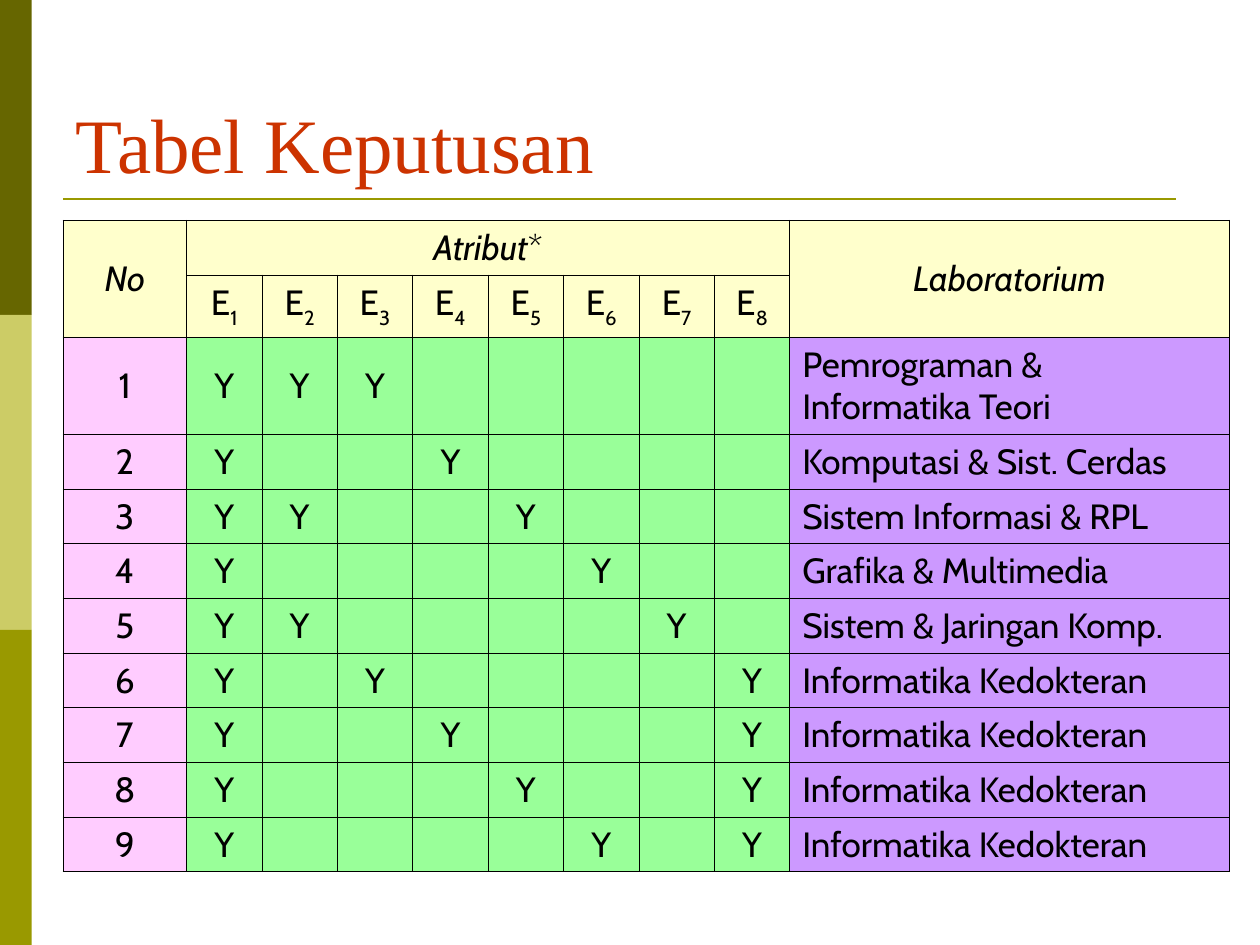
from typing import NamedTuple

from lxml.etree import SubElement
from pptx import Presentation
from pptx.dml.color import RGBColor
from pptx.enum.shapes import MSO_CONNECTOR, MSO_SHAPE
from pptx.enum.text import MSO_ANCHOR, PP_ALIGN
from pptx.oxml import parse_xml
from pptx.oxml.ns import nsdecls, qn
from pptx.util import Cm, Pt

OLIVE_DARK = RGBColor(0x66, 0x66, 0x00)
OLIVE_LIGHT = RGBColor(0xCC, 0xCC, 0x66)
OLIVE = RGBColor(0x99, 0x99, 0x00)
RED = RGBColor(0xCC, 0x33, 0x00)
BLACK = RGBColor(0x00, 0x00, 0x00)
CREAM = RGBColor(0xFF, 0xFF, 0xCC)
PINK = RGBColor(0xFF, 0xCC, 0xFF)
GREEN = RGBColor(0x99, 0xFF, 0x99)
PURPLE = RGBColor(0xCC, 0x99, 0xFF)

TITLE_FONT, TABLE_FONT = "Times New Roman", "Cabin"
BAND_W, BAND_H = Cm(0.64), Cm(6.35)
LEFT = Cm(1.27)
ATTRIBUTES = 8
LAB_COL = ATTRIBUTES + 1
COL_WIDTHS = [Cm(2.49)] + [Cm(1.52)] * ATTRIBUTES + [Cm(8.86)]
ROW_H, SUBHEAD_H, TWO_LINE_H = Cm(1.09), Cm(1.25), Cm(1.96)


class Rule(NamedTuple):
    attributes: tuple[int, ...]
    lab: str


class Text(NamedTuple):
    text: str
    italic: bool = False
    subscript: bool = False


RULES = [
    Rule((1, 2, 3), "Pemrograman & Informatika Teori"),
    Rule((1, 4), "Komputasi & Sist. Cerdas"),
    Rule((1, 2, 5), "Sistem Informasi & RPL"),
    Rule((1, 6), "Grafika & Multimedia"),
    Rule((1, 2, 7), "Sistem & Jaringan Komp."),
] + [Rule((1, n, 8), "Informatika Kedokteran") for n in (3, 4, 5, 6)]


def add_band(s, index: int, color: RGBColor) -> None:
    sp = s.shapes.add_shape(MSO_SHAPE.RECTANGLE, 0, BAND_H * index, BAND_W, BAND_H)
    sp.shadow.inherit = False
    sp.fill.solid()
    sp.fill.fore_color.rgb = color
    sp.line.fill.background()


def add_title(s, text: str) -> None:
    sp = s.shapes.add_textbox(LEFT, Cm(0.76), Cm(22.86), Cm(3.18))
    tf = sp.text_frame
    tf.word_wrap = True
    tf.vertical_anchor = MSO_ANCHOR.BOTTOM
    tf.text = text
    font = tf.paragraphs[0].runs[0].font
    font.name, font.size, font.color.rgb = TITLE_FONT, Pt(44), RED


def add_underline(s) -> None:
    y = Cm(4.01)
    line = s.shapes.add_connector(MSO_CONNECTOR.STRAIGHT, LEFT, y, Cm(23.7), y)
    line.line.color.rgb = OLIVE
    line.line.width = Pt(1.5)
    SubElement(line._element.spPr, qn("a:effectLst"))


def style_cell(cell, color: RGBColor) -> None:
    """Give the cell thin black borders, then its fill."""
    tc_pr = cell._tc.get_or_add_tcPr()
    for side in "LRTB":
        tc_pr.append(parse_xml(
            f'<a:ln{side} w="{Pt(0.45)}" {nsdecls("a")}><a:solidFill>'
            f'<a:srgbClr val="{BLACK}"/></a:solidFill></a:ln{side}>'))
    cell.fill.solid()
    cell.fill.fore_color.rgb = color
    cell.vertical_anchor = MSO_ANCHOR.MIDDLE


def write(cell, *texts: Text, align: PP_ALIGN = PP_ALIGN.CENTER) -> None:
    p = cell.text_frame.paragraphs[0]
    p.alignment = align
    for item in texts:
        r = p.add_run()
        r.text = item.text
        r.font.name, r.font.size = TABLE_FONT, Pt(20)
        r.font.bold, r.font.italic = False, item.italic
        r.font.color.rgb = BLACK
        if item.subscript:
            r._r.get_or_add_rPr().set("baseline", "-30000")


def cell_color(row: int, col: int) -> RGBColor:
    if row < 2:
        return CREAM
    return {0: PINK, LAB_COL: PURPLE}.get(col, GREEN)


def add_decision_table(s) -> None:
    heights = [ROW_H, SUBHEAD_H, TWO_LINE_H] + [ROW_H] * (len(RULES) - 1)
    table = s.shapes.add_table(len(heights), len(COL_WIDTHS), LEFT, Cm(4.44),
                               sum(COL_WIDTHS), sum(heights)).table
    for column, width in zip(table.columns, COL_WIDTHS):
        column.width = width
    for row, height in zip(table.rows, heights):
        row.height = height
    for row in range(len(heights)):
        for col in range(len(COL_WIDTHS)):
            style_cell(table.cell(row, col), cell_color(row, col))

    for col in (0, LAB_COL):
        table.cell(0, col).merge(table.cell(1, col))
    table.cell(0, 1).merge(table.cell(0, ATTRIBUTES))
    write(table.cell(0, 0), Text("No", italic=True))
    write(table.cell(0, 1), Text("Atribut", italic=True), Text("*"))
    write(table.cell(0, LAB_COL), Text("Laboratorium", italic=True))
    for n in range(1, ATTRIBUTES + 1):
        write(table.cell(1, n), Text("E"), Text(str(n), subscript=True))

    for number, rule in enumerate(RULES, start=1):
        row = number + 1
        write(table.cell(row, 0), Text(str(number)))
        for n in rule.attributes:
            write(table.cell(row, n), Text("Y"))
        write(table.cell(row, LAB_COL), Text(rule.lab), align=PP_ALIGN.LEFT)


def main() -> None:
    prs = Presentation()
    prs.slide_width, prs.slide_height = Cm(25.4), Cm(19.05)
    s = prs.slides.add_slide(prs.slide_layouts[6])
    for index, color in enumerate((OLIVE_DARK, OLIVE_LIGHT, OLIVE)):
        add_band(s, index, color)
    add_underline(s)
    add_title(s, "Tabel Keputusan")
    add_decision_table(s)
    prs.save("out.pptx")


if __name__ == "__main__":
    main()
